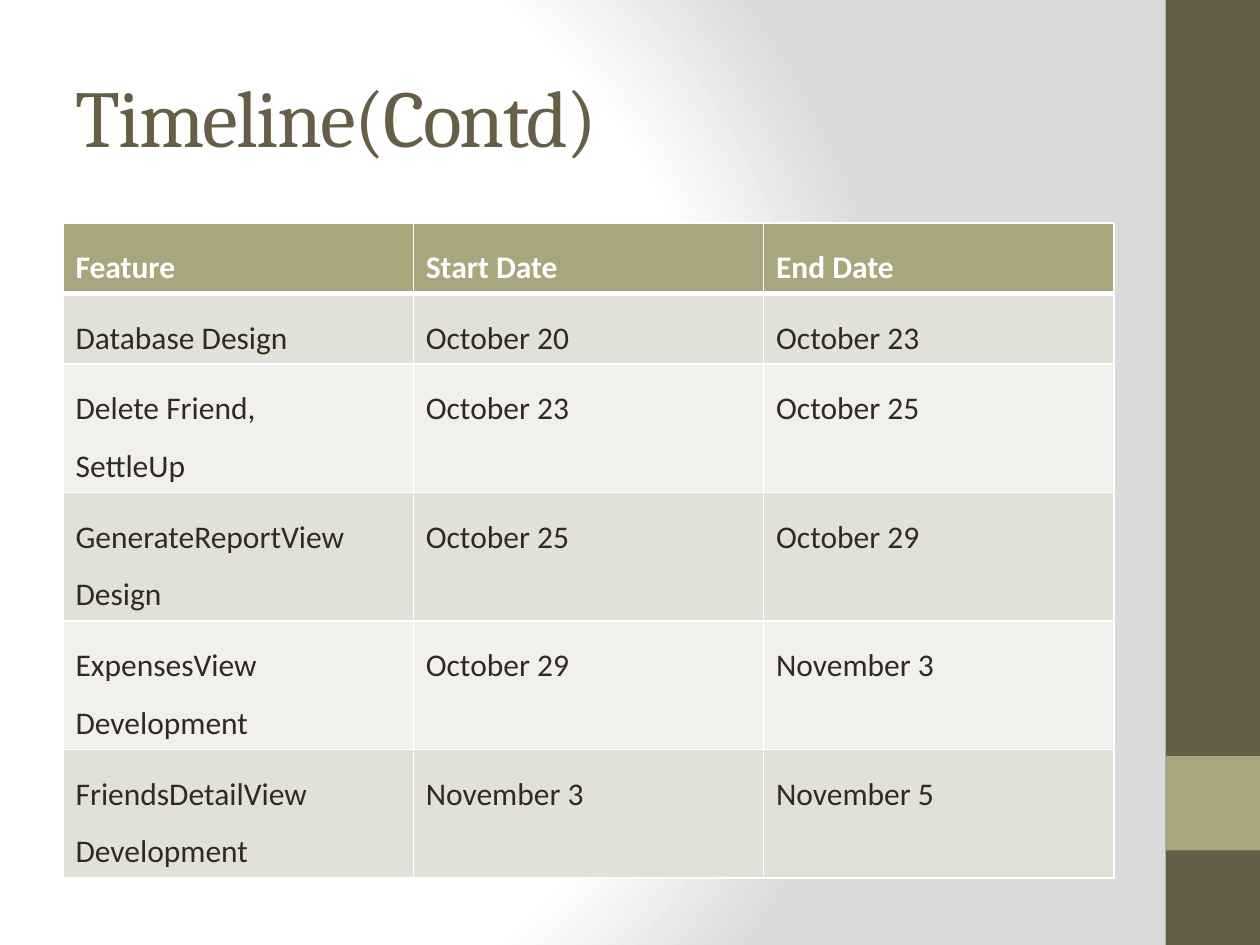
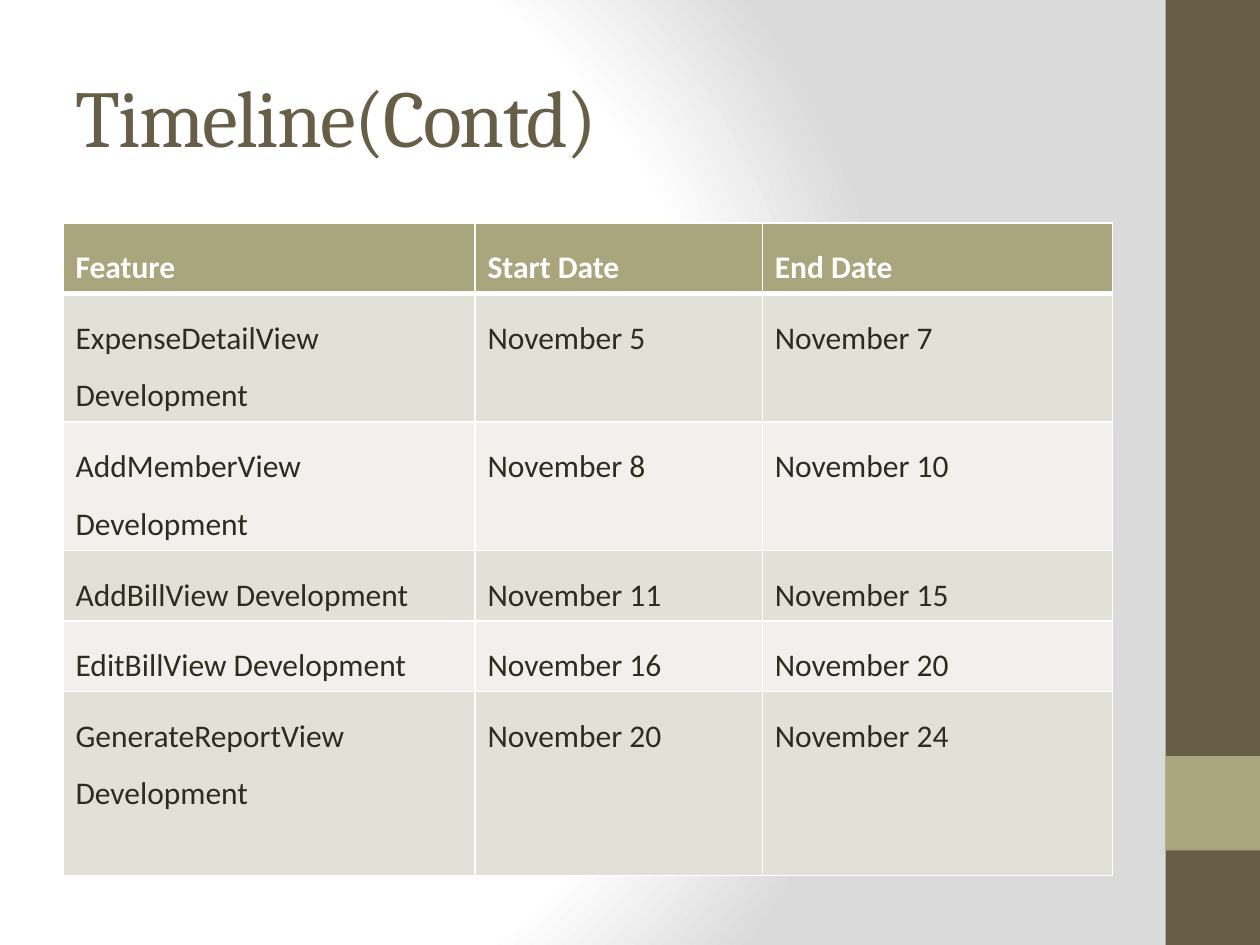
from lxml.etree import SubElement
from pptx import Presentation
from pptx.dml.color import RGBColor
from pptx.enum.shapes import MSO_SHAPE as Shape
from pptx.enum.text import MSO_ANCHOR as Anchor, PP_ALIGN as Align
from pptx.oxml import parse_xml
from pptx.oxml.ns import nsdecls, qn
from pptx.util import Inches, Pt

# Shared theme
BROWN, OLIVE, INK, WHITE = "675E47", "A9A57C", "2F2B20", "FFFFFF"
ROW_FILLS = ("E2E1D7", "F1F0EC")
HEADING_FONT, BODY_FONT = "Cambria", "Calibri"
TITLE_BOX = (0.5, 0.29, 8.33, 1.25)
TABLE_BOX = (0.5, 1.77, 8.33, 5.1)
BANDS = (((9.25, 0, 0.75, 7.5), BROWN), ((9.25, 6, 0.75, 0.75), OLIVE))
ONE_LINE, TWO_LINES = 0.56, 1.02

# Table content
HEADER = ("Feature", "Start Date", "End Date")
OCTOBER_ROWS = (
    ("Database Design", "October 20", "October 23"),
    ("Delete Friend,\nSettleUp", "October 23", "October 25"),
    ("GenerateReportView Design", "October 25", "October 29"),
    ("ExpensesView Development", "October 29", "November 3"),
    ("FriendsDetailView Development", "November 3", "November 5"),
)
NOVEMBER_ROWS = (
    ("ExpenseDetailView Development", "November 5", "November 7"),
    ("AddMemberView Development", "November 8", "November 10"),
    ("AddBillView Development", "November 11", "November 15"),
    ("EditBillView Development", "November 16", "November 20"),
    ("GenerateReportView Development", "November 20", "November 24"),
)
TIMELINES = (
    (OCTOBER_ROWS, (2.78, 2.78, 2.78), (ONE_LINE,) * 2 + (TWO_LINES,) * 4),
    (NOVEMBER_ROWS, (3.27, 2.28, 2.78),
     (ONE_LINE, TWO_LINES, TWO_LINES, ONE_LINE, ONE_LINE, 1.46)),
)


def color(hex_string):
    return RGBColor.from_string(hex_string)


def inches(box):
    return [Inches(length) for length in box]


def style_font(font, name, size, hex_color, bold=False):
    font.name, font.size, font.bold = name, Pt(size), bold
    font.color.rgb = color(hex_color)


def set_background(master):
    """Radial gradient from white on the left to grey on the right."""
    master.background.fill.gradient()
    old_gradient = next(master.element.iter(qn("a:gradFill")))
    stops = "".join(
        f'<a:gs pos="{position}000"><a:srgbClr val="{stop}"/></a:gs>'
        for position, stop in ((0, WHITE), (75, WHITE), (100, "DADADA")))
    gradient = parse_xml(
        f'<a:gradFill {nsdecls("a")} rotWithShape="1"><a:gsLst>{stops}</a:gsLst>'
        '<a:path path="circle"><a:fillToRect l="20000" t="50000" r="100000" '
        'b="50000"/></a:path></a:gradFill>')
    old_gradient.getparent().replace(old_gradient, gradient)


def add_master_bands(master, slide):
    """Draw the side bands, then move them to the shared master."""
    for box, fill in BANDS:
        band = slide.shapes.add_shape(Shape.RECTANGLE, *inches(box))
        band.shadow.inherit = False
        band.fill.solid()
        band.fill.fore_color.rgb = color(fill)
        band.line.fill.background()
        master.element.cSld.spTree.append(band.element)


def add_title(slide, text, box):
    title = slide.shapes.title
    title.left, title.top, title.width, title.height = inches(box)
    frame = title.text_frame
    frame.text = text
    frame.vertical_anchor = Anchor.MIDDLE
    paragraph = frame.paragraphs[0]
    paragraph.alignment = Align.LEFT
    run = paragraph.runs[0]
    style_font(run.font, HEADING_FONT, 46, BROWN)
    run.font.element.set("spc", "-100") if hasattr(run.font, "element") else \
        run._r.get_or_add_rPr().set("spc", "-100")


def set_borders(cell, top, bottom):
    properties = cell._tc.get_or_add_tcPr()
    for side, width in (("L", 1), ("R", 1), ("T", top), ("B", bottom)):
        line = SubElement(properties, qn(f"a:ln{side}"), w=str(Pt(width)))
        fill = SubElement(line, qn("a:solidFill"))
        SubElement(fill, qn("a:srgbClr"), val=WHITE)


def fill_cell(cell, text, row_index):
    is_header = row_index == 0
    set_borders(cell, top=3 if row_index == 1 else 1, bottom=3 if is_header else 1)
    cell.fill.solid()
    cell.fill.fore_color.rgb = color(
        OLIVE if is_header else ROW_FILLS[(row_index - 1) % 2])
    cell.text_frame.text = text
    for paragraph in cell.text_frame.paragraphs:
        paragraph.line_spacing = 1.5
        for run in paragraph.runs:
            style_font(run.font, BODY_FONT, 18, WHITE if is_header else INK, is_header)


def add_timeline_table(slide, rows, widths, heights, box):
    table = slide.shapes.add_table(
        len(rows) + 1, len(HEADER), *inches(box)).table
    for column, width in zip(table.columns, widths):
        column.width = Inches(width)
    for row, height in zip(table.rows, heights):
        row.height = Inches(height)
    for row_index, texts in enumerate((HEADER, *rows)):
        for column_index, text in enumerate(texts):
            fill_cell(table.cell(row_index, column_index), text, row_index)


def add_timeline_slide(presentation, rows, widths, heights):
    slide = presentation.slides.add_slide(presentation.slide_layouts[5])
    add_title(slide, "Timeline(Contd)", TITLE_BOX)
    add_timeline_table(slide, rows, widths, heights, TABLE_BOX)
    return slide


def main():
    presentation = Presentation()
    presentation.slide_width, presentation.slide_height = Inches(10), Inches(7.5)
    slides = [add_timeline_slide(presentation, *timeline) for timeline in TIMELINES]
    set_background(presentation.slide_master)
    add_master_bands(presentation.slide_master, slides[0])
    presentation.save("out.pptx")


if __name__ == "__main__":
    main()
